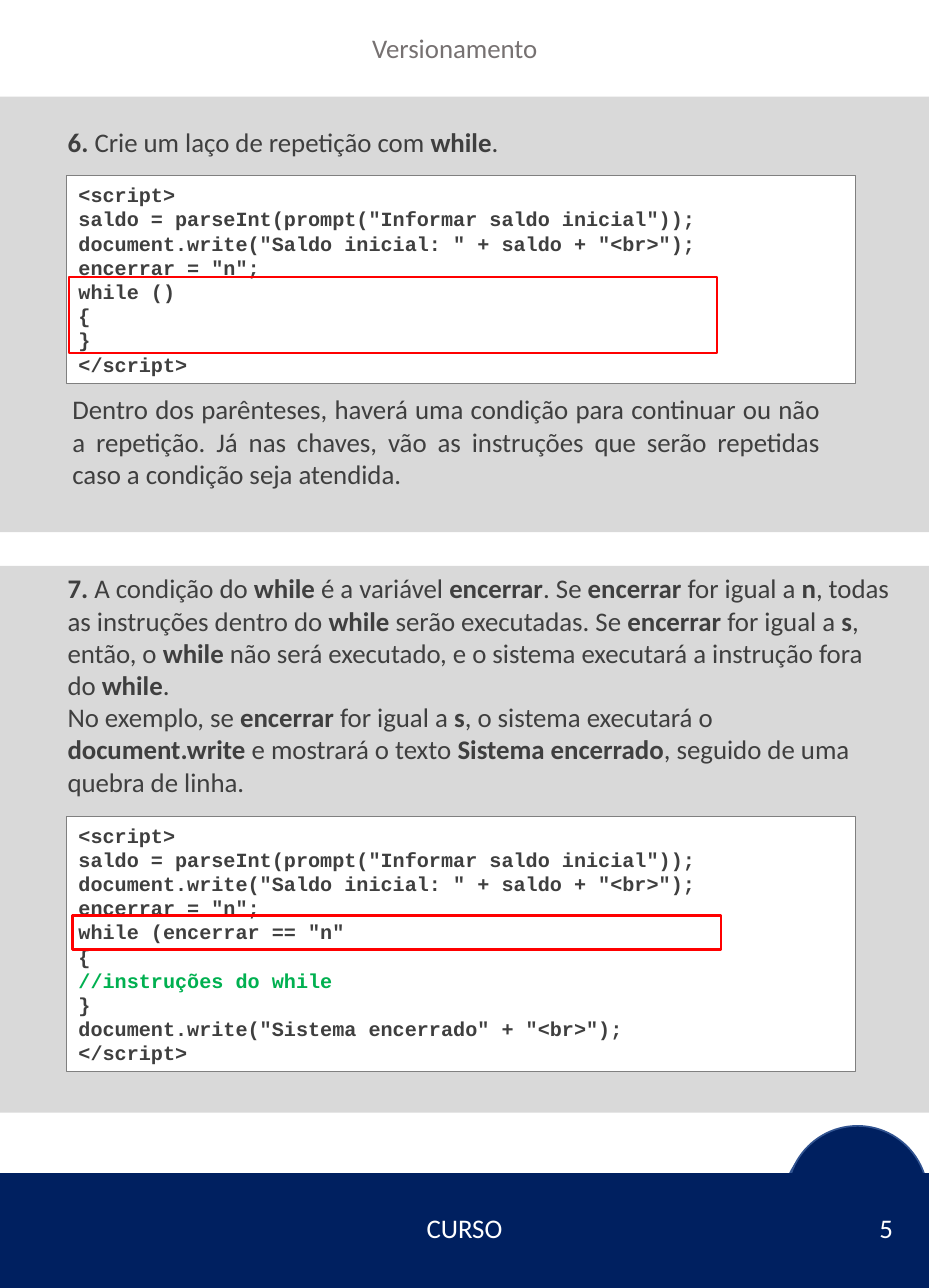
from pptx import Presentation
from pptx.dml.color import RGBColor
from pptx.enum.shapes import MSO_SHAPE as Shape
from pptx.enum.text import MSO_ANCHOR as Anchor, PP_ALIGN as Align
from pptx.oxml.ns import qn
from pptx.util import Inches, Pt

COLORS = {
    "navy": "002060", "edge": "325491", "band": "D9D9D9", "white": "FFFFFF",
    "heading": "767171", "text": "3F3F3F", "border": "808080",
    "mark": "FF0000", "comment": "00B050",
}

HEADING = "Versionamento"
STEP_6 = ["|6. |Crie um laço de repetição com |while|."]
EXPLANATION = [
    "Dentro dos parênteses, haverá uma condição para continuar ou não a repetição. "
    "Já nas chaves, vão as instruções que serão repetidas caso a condição seja atendida."
]
STEP_7 = [
    "|7. |A condição do |while| é a variável |encerrar|. Se |encerrar| for igual a |n|, "
    "todas as instruções dentro do |while| serão executadas. Se |encerrar| for igual a| s|, "
    "então, o |while| não será executado, e o sistema executará a instrução fora do |while|.",
    "No exemplo, se |encerrar| for igual a| s|, o sistema executará o |document.write |"
    "e mostrará o texto |Sistema encerrado|, seguido de uma quebra de linha.",
]
CODE_START = [
    "<script>",
    'saldo = parseInt(prompt("Informar saldo inicial"));',
    'document.write("Saldo inicial: " + saldo + "<br>");',
    'encerrar = "n";',
]
CODE_6 = CODE_START + ["while ()", "{", "}", "</script>"]
CODE_7 = CODE_START + [
    'while (encerrar == "n"', "{", "//instruções do while", "}",
    'document.write("Sistema encerrado" + "<br>");', "</script>",
]
FOOTER = "CURSO"
PAGE_NUMBER = "5"

BANDS = [(0, 4.68, 7.68, 4.52), (0, 0.8, 7.68, 3.6)]
CIRCLES = [(6.47, 9.38, 1.16, 1.16), (6.51, 9.31, 1.16, 1.16)]
FOOTER_BAR = (0, 9.7, 7.68, 0.95)
CODE_BOXES = [((0.55, 1.45, 6.52, 1.72), CODE_6), ((0.55, 6.75, 6.52, 2.11), CODE_7)]
MARKS = [(0.57, 2.29, 5.36, 0.63), (0.6, 7.57, 5.36, 0.28)]

PROSE = {"size": Pt(16), "name": "Calibri"}
CODE = {"size": Pt(12), "name": "Courier New"}


def rgb(name):
    return RGBColor.from_string(COLORS[name])


def add_box(slide, kind, place, fill=None, line=None, width=1):
    box = slide.shapes.add_shape(kind, *map(Inches, place))
    box.shadow.inherit = False
    if fill:
        box.fill.solid()
        box.fill.fore_color.rgb = rgb(fill)
    else:
        box.fill.background()
    if line:
        box.line.color.rgb = rgb(line)
        box.line.width = Pt(width)
    else:
        box.line.fill.background()
    return box


def add_span(para, text, style, color, bold):
    span = para.add_run()
    span.text = text
    for key, value in {**style, "bold": bold}.items():
        setattr(span.font, key, value)
    span.font.color.rgb = rgb(color)


def prepare(box, count, align, anchor):
    frame = box.text_frame
    frame.word_wrap = True
    frame.vertical_anchor = anchor
    paras = [frame.paragraphs[0]] + [frame.add_paragraph() for _ in range(count - 1)]
    for para in paras:
        para.alignment = align
        para.space_before = Pt(0)
    return paras


def write_prose(box, texts, color="text", align=Align.LEFT, anchor=Anchor.TOP):
    for para, text in zip(prepare(box, len(texts), align, anchor), texts):
        for index, part in enumerate(text.split("|")):
            if part:
                add_span(para, part, PROSE, color, index % 2 == 1)


def write_code(box, lines):
    for para, line in zip(prepare(box, len(lines), Align.LEFT, Anchor.MIDDLE), lines):
        color = "comment" if line.startswith("//") else "text"
        add_span(para, line, CODE, color, True)


def add_prose(slide, place, texts, **options):
    box = slide.shapes.add_textbox(*map(Inches, place))
    write_prose(box, texts, **options)


def place_on_top(holder, place):
    for key, value in zip(("left", "top", "width", "height"), place):
        setattr(holder, key, Inches(value))
    holder.element.getparent().append(holder.element)


def main():
    deck = Presentation()
    deck.slide_width, deck.slide_height = Inches(7.68), Inches(10.65)
    slide = deck.slides.add_slide(deck.slide_layouts[1])
    title, body = slide.placeholders

    for place in CIRCLES:
        add_box(slide, Shape.OVAL, place, "navy", "edge")
    add_box(slide, Shape.RECTANGLE, FOOTER_BAR, "navy")
    add_prose(slide, (0, 9.87, 7.68, 0.57), [FOOTER],
              color="white", align=Align.CENTER, anchor=Anchor.MIDDLE)
    add_prose(slide, (6.47, 9.87, 1.01, 0.57), [PAGE_NUMBER],
              color="white", align=Align.RIGHT, anchor=Anchor.MIDDLE)
    for place in BANDS:
        add_box(slide, Shape.RECTANGLE, place, "band")

    place_on_top(title, (0.92, 0.21, 5.68, 0.57))
    write_prose(title, [HEADING], color="heading", align=Align.CENTER)
    place_on_top(body, (0.46, 0.99, 6.62, 1.06))
    write_prose(body, STEP_6)
    for para in body.text_frame.paragraphs:
        props = para._p.get_or_add_pPr()
        props.set("marL", "0")
        props.set("indent", "0")
        props.append(props.makeelement(qn("a:buNone"), {}))

    add_prose(slide, (0.46, 4.68, 7.02, 1.99), STEP_7)
    add_prose(slide, (0.5, 3.2, 6.38, 0.91), EXPLANATION, align=Align.JUSTIFY)
    for place, lines in CODE_BOXES:
        write_code(add_box(slide, Shape.RECTANGLE, place, "white", "border", 0.75), lines)
    for place in MARKS:
        add_box(slide, Shape.RECTANGLE, place, line="mark", width=1.5)

    deck.save("out.pptx")


if __name__ == "__main__":
    main()
